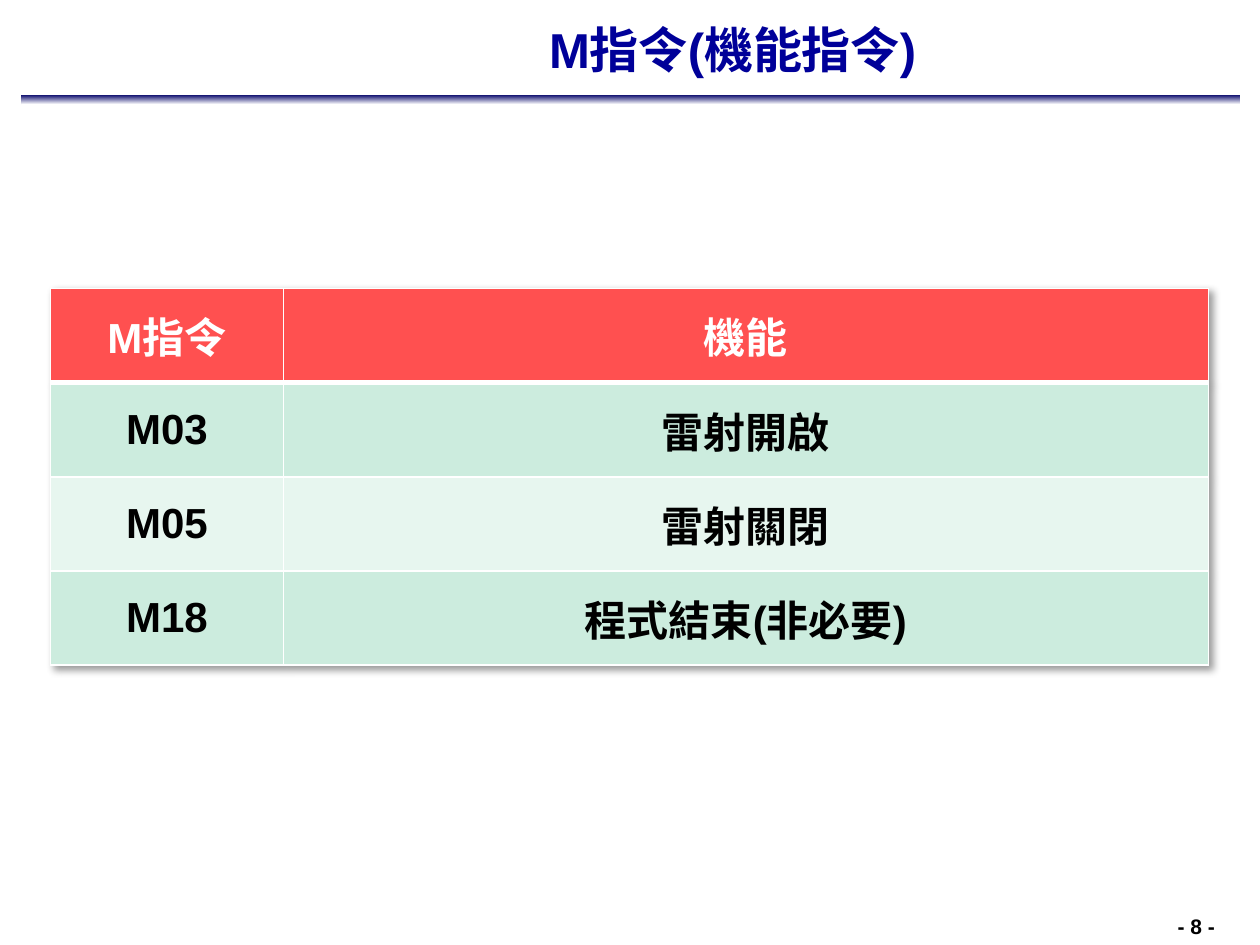
from dataclasses import dataclass

from lxml import etree
from pptx import Presentation
from pptx import util as u
from pptx.dml.color import RGBColor
from pptx.enum import shapes, text
from pptx.oxml import ns


@dataclass(frozen=True)
class Theme:
    font: str = "Arial"
    navy: str = "000099"
    deep: str = "000066"
    white: str = "FFFFFF"
    black: str = "000000"
    red: str = "FF5050"
    bands: tuple = ("CCECDE", "E7F6EF")
    title: int = 28
    cell: int = 24
    page: int = 12


T = Theme()
ROWS = [
    ("M指令", "機能"),
    ("M03", "雷射開啟"),
    ("M05", "雷射關閉"),
    ("M18", "程式結束(非必要)"),
]


def rgb(code):
    return RGBColor.from_string(code)


def box(*sides):
    return [u.Inches(side) for side in sides]


def node(up, tag, **keys):
    return etree.SubElement(up, ns.qn(tag), {k: str(v) for k, v in keys.items()})


def write(frame, words, size, color, before=0):
    frame.word_wrap = True
    frame.vertical_anchor = text.MSO_ANCHOR.MIDDLE
    para = frame.paragraphs[0]
    para.alignment = text.PP_ALIGN.CENTER
    para.space_before = u.Pt(before)
    run = para.add_run()
    run.text = words
    font = run.font
    font.name, font.size, font.bold = T.font, u.Pt(size), True
    font.color.rgb = rgb(color)


def head(slide, words):
    title = slide.shapes.title
    title.left, title.top, title.width, title.height = box(1.86, 0.05, 7.91, 0.67)
    write(title.text_frame, words, T.title, T.navy)


def rule(slide):
    bar = slide.shapes.add_shape(
        shapes.MSO_SHAPE.RECTANGLE, *box(0.17, 0.75, 9.67, 0.08))
    bar.shadow.inherit = False
    bar.line.fill.background()
    bar.fill.gradient()
    bar.fill.gradient_angle = 270
    for stop, color, place in zip(bar.fill.gradient_stops, (T.deep, T.white), (0, 1)):
        stop.color.rgb = rgb(color)
        stop.position = place


def edge(cell, side, width):
    line = node(cell._tc.get_or_add_tcPr(), f"a:ln{side}", w=u.Pt(width))
    node(node(line, "a:solidFill"), "a:srgbClr", val=T.white)


def shade(table):
    props = table._tbl.tblPr
    effects = node(props, "a:effectLst")
    cast = node(effects, "a:outerShdw", blurRad=u.Pt(4), dist=u.Pt(3),
                dir=2700000, algn="tl", rotWithShape=0)
    node(node(cast, "a:srgbClr", val=T.black), "a:alpha", val=40000)
    props.insert(0, effects)


def grid(slide, rows):
    frame = slide.shapes.add_table(len(rows), 2, *box(0.4, 2.29, 9.19, 2.99))
    table = frame.table
    table.first_row = table.horz_banding = False
    shade(table)
    for col, width in zip(table.columns, (1.85, 7.34)):
        col.width = u.Inches(width)
    for i, row in enumerate(rows):
        ink = T.black if i else T.white
        fill = T.bands[(i - 1) % 2] if i else T.red
        for j, words in enumerate(row):
            cell = table.cell(i, j)
            write(cell.text_frame, words, T.cell, ink)
            cell.vertical_anchor = text.MSO_ANCHOR.MIDDLE
            for side in "LRTB":
                thick = (i, side) in ((0, "B"), (1, "T"))
                edge(cell, side, 3 if thick else 1)
            cell.fill.solid()
            cell.fill.fore_color.rgb = rgb(fill)


def foot(slide, words):
    label = slide.shapes.add_textbox(*box(9.03, 7.2, 0.93, 0.3))
    write(label.text_frame, words, T.page, T.black, before=6)
    label.text_frame.vertical_anchor = text.MSO_ANCHOR.TOP


def main():
    deck = Presentation()
    deck.slide_width, deck.slide_height = box(10, 7.5)
    slide = deck.slides.add_slide(deck.slide_layouts[5])
    rule(slide)
    foot(slide, "- 8 -")
    head(slide, "M指令(機能指令)")
    grid(slide, ROWS)
    deck.save("out.pptx")


if __name__ == "__main__":
    main()
